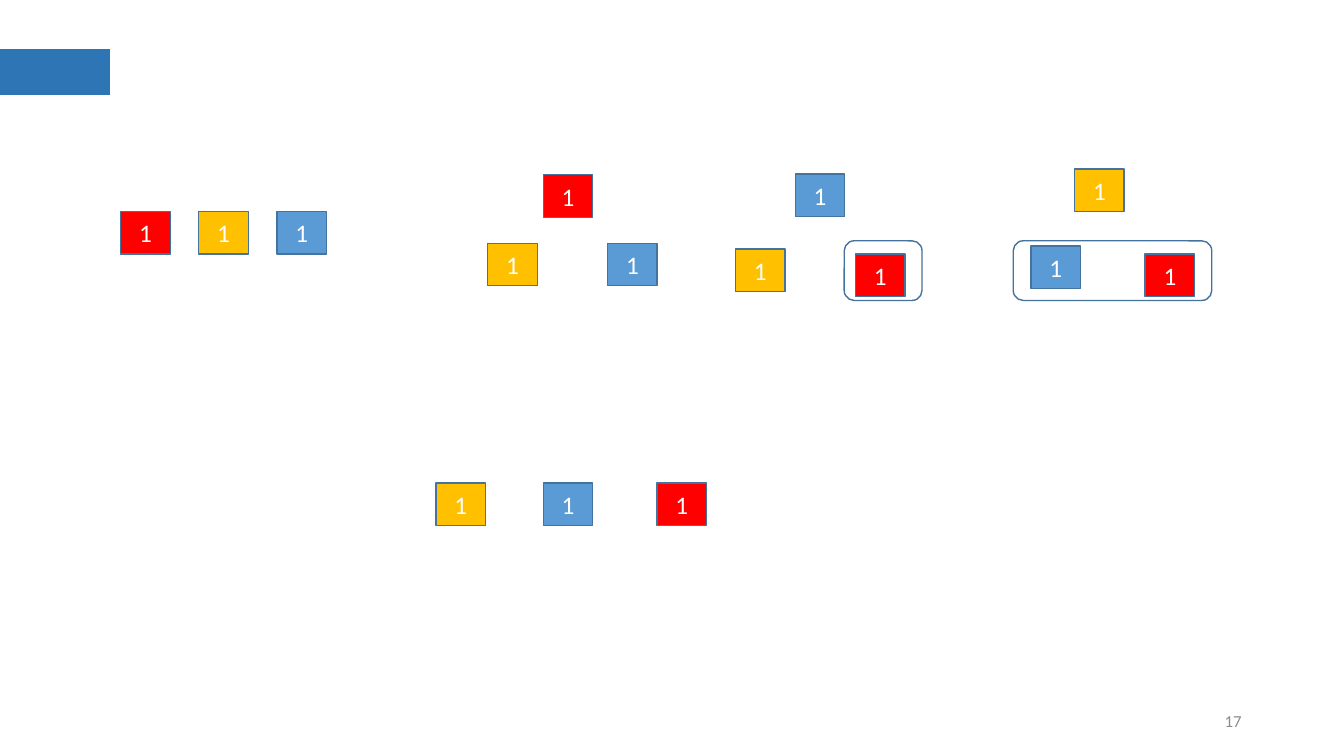
from pptx import Presentation
from pptx.dml.color import RGBColor
from pptx.enum.shapes import MSO_SHAPE
from pptx.enum.text import MSO_ANCHOR, PP_ALIGN
from pptx.util import Pt

RECT, ROUNDED = MSO_SHAPE.RECTANGLE, MSO_SHAPE.ROUNDED_RECTANGLE
CENTER, RIGHT = PP_ALIGN.CENTER, PP_ALIGN.RIGHT
MIDDLE = MSO_ANCHOR.MIDDLE

COLORS = {
    "red": "FF0000", "yellow": "FFC000", "blue": "5B9BD5",
    "accent": "2E75B6", "outline": "43739E", "white": "FFFFFF", "gray": "8C8C8C",
}
TILE_W, TILE_H = 35.4, 30.4


def rgb(name):
    return RGBColor.from_string(COLORS[name])


class SlideBuilder:
    def __init__(self, slide, font="Calibri"):
        self.slide = slide
        self.font = font

    def box(self, x, y, w, h, fill=None, line="outline", width=1, kind=RECT):
        sp = self.slide.shapes.add_shape(kind, Pt(x), Pt(y), Pt(w), Pt(h))
        sp.shadow.inherit = False
        if fill:
            sp.fill.solid()
            sp.fill.fore_color.rgb = rgb(fill)
        else:
            sp.fill.background()
        sp.line.color.rgb = rgb(line)
        sp.line.width = Pt(width)
        return sp

    def set_text(self, sp, text, size, color, align):
        tf = sp.text_frame
        tf.word_wrap = True
        tf.vertical_anchor = MIDDLE
        tf.text = text
        p = tf.paragraphs[0]
        p.alignment = align
        r = p.runs[0]
        r.font.name = self.font
        r.font.size = Pt(size)
        r.font.color.rgb = rgb(color)

    def label(self, x, y, w, h, text, size, color, align):
        sp = self.slide.shapes.add_textbox(Pt(x), Pt(y), Pt(w), Pt(h))
        self.set_text(sp, text, size, color, align)

    def tile(self, color, x, y):
        sp = self.box(x, y, TILE_W, TILE_H, color)
        self.set_text(sp, "1", 18, "white", CENTER)

    def frame(self, x, w):
        self.box(x, 172, w, 42.6, kind=ROUNDED)


def main():
    prs = Presentation()
    prs.slide_width, prs.slide_height = Pt(960), Pt(540)
    s = SlideBuilder(prs.slides.add_slide(prs.slide_layouts[6]))

    # Title accent and page number
    s.box(0, 34.6, 79.2, 33.8, "accent", "white", 0.75)
    s.label(678, 500.4, 216, 28.8, "17", 12, "gray", RIGHT)

    # Starting row, evenly spaced
    for i, color in enumerate(("red", "yellow", "blue")):
        s.tile(color, 86.2 + 55.8 * i, 151)

    # Three trees: one tile above two others
    trees = [
        ("red", 388, 124.8), ("yellow", 348.4, 173.8), ("blue", 434, 173.8),
        ("red", 611, 181.4), ("yellow", 525.4, 178), ("blue", 568, 124.4),
        ("red", 818, 181.4), ("yellow", 767.6, 120.8), ("blue", 736.4, 175.8),
    ]
    for tile in trees:
        s.tile(*tile)

    # Frames around the grouped tiles
    s.frame(603, 55.6)
    s.frame(723.8, 141.8)

    # Resulting row
    for color, x in (("yellow", 311.4), ("blue", 388), ("red", 469.2)):
        s.tile(color, x, 345)

    prs.save("out.pptx")


if __name__ == "__main__":
    main()
